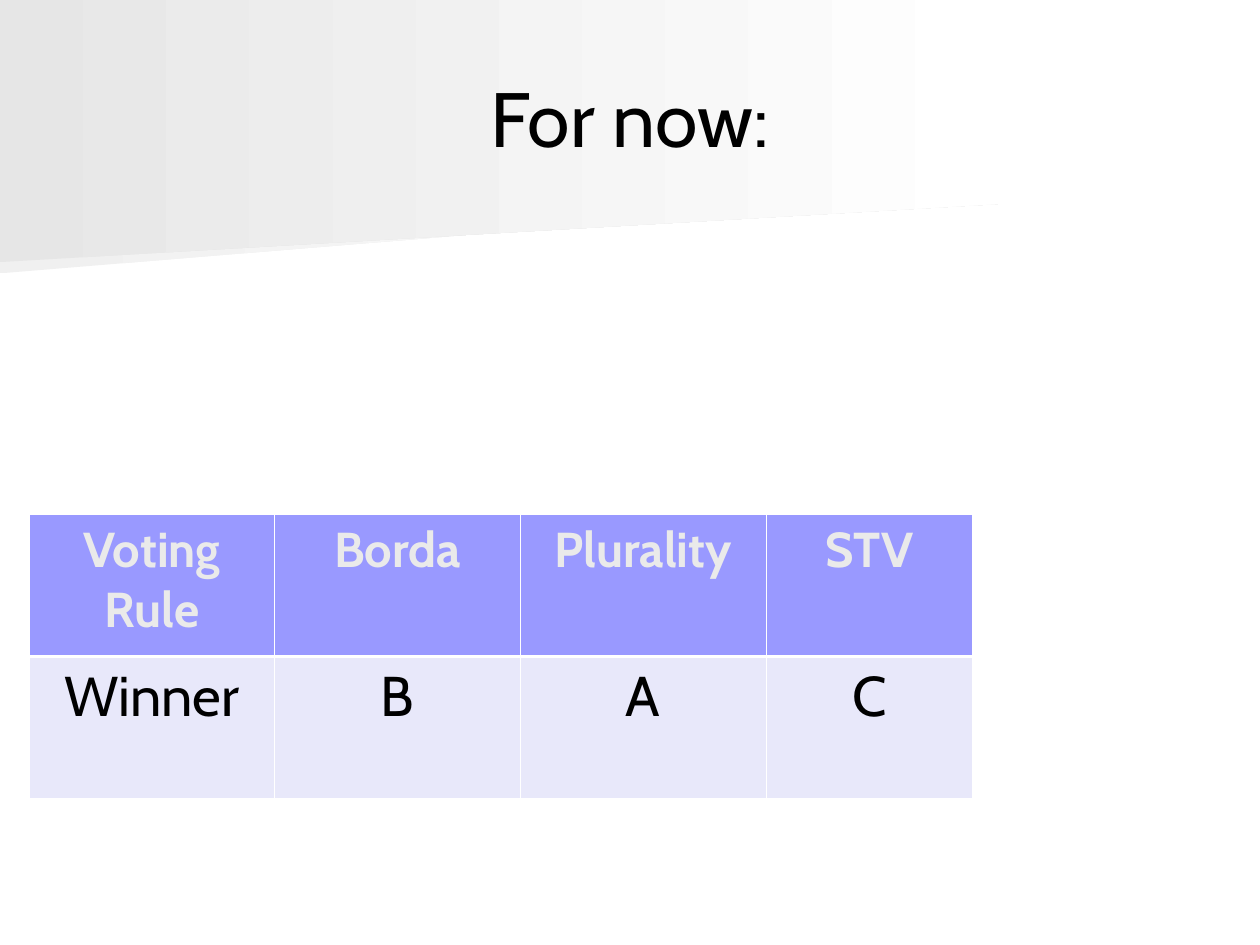
from dataclasses import dataclass

from lxml.etree import SubElement
from pptx import Presentation
from pptx.dml.color import RGBColor
from pptx.enum.text import MSO_ANCHOR as Anchor, PP_ALIGN as Align
from pptx.oxml.ns import qn
from pptx.util import Pt

PX = 9144


@dataclass(frozen=True)
class Theme:
    font: str = "Cabin"
    text: str = "000000"
    header_text: str = "EAEAEA"
    header_fill: str = "9999FF"
    body_fill: str = "E8E8FA"
    back_shade: str = "F0F0F0"
    front_shade: str = "E6E6E6"
    white: str = "FFFFFF"
    title_size: int = 44
    header_size: int = 28
    body_size: int = 32
    thin_line: float = 0.45
    thick_line: float = 1.47


THEME = Theme()


def color(value):
    return RGBColor.from_string(value)


def set_values(target, values):
    for name, value in values.items():
        setattr(target, name, value)


def write_text(frame, text, size, ink, bold=False):
    para = frame.paragraphs[0]
    para.alignment = Align.CENTER
    span = para.add_run()
    span.text = text
    set_values(span.font, {"name": THEME.font, "size": Pt(size), "bold": bold})
    span.font.color.rgb = color(ink)


def add_wedge(page, points, shade):
    builder = page.shapes.build_freeform(*points[0], scale=PX)
    builder.add_line_segments(points[1:], close=True)
    wedge = builder.convert_to_shape()
    wedge.shadow.inherit = False
    wedge.line.fill.background()
    wedge.fill.gradient()
    wedge.fill.gradient_angle = 0
    for stop, value in zip(wedge.fill.gradient_stops, (shade, THEME.white)):
        stop.color.rgb = color(value)
    page.shapes.title.element.addprevious(wedge.element)


def add_backdrop(page, left, top):
    wedges = (
        ([(778, 153), (0, 217), (0, 101), (779, 101), (778, 128)], THEME.back_shade),
        ([(792, 162), (0, 208), (0, 0), (792, 0)], THEME.front_shade),
    )
    for points, shade in wedges:
        add_wedge(page, [(left + x, top + y) for x, y in points], shade)


def add_title(page, left, top, width, height, text):
    title = page.shapes.title
    set_values(title, {"left": left * PX, "top": top * PX,
                       "width": width * PX, "height": height * PX})
    title.text_frame.vertical_anchor = Anchor.MIDDLE
    write_text(title.text_frame, text, THEME.title_size, THEME.text)


def add_border(cell, side, width):
    props = cell._tc.get_or_add_tcPr()
    line = SubElement(props, qn(f"a:ln{side}"), w=str(Pt(width)))
    fill = SubElement(line, qn("a:solidFill"))
    SubElement(fill, qn("a:srgbClr"), val=THEME.white)


def add_results(page, left, top, widths, row_height, rows):
    frame = page.shapes.add_table(
        len(rows), len(widths), left * PX, top * PX,
        sum(widths) * PX, row_height * len(rows) * PX)
    table = frame.table
    table.horz_banding = False
    for column, width in zip(table.columns, widths):
        column.width = width * PX
    header = (THEME.header_size, THEME.header_text, True)
    body = (THEME.body_size, THEME.text, False)
    styles = ((header, THEME.header_fill, "B"), (body, THEME.body_fill, "T"))
    for row, texts, (style, fill, thick_side) in zip(table.rows, rows, styles):
        row.height = row_height * PX
        for cell, text in zip(row.cells, texts):
            for side in "LRTB":
                width = THEME.thick_line if side == thick_side else THEME.thin_line
                add_border(cell, side, width)
            cell.fill.solid()
            cell.fill.fore_color.rgb = color(fill)
            write_text(cell.text_frame, text, *style)


def main():
    deck = Presentation()
    set_values(deck, {"slide_width": 1000 * PX, "slide_height": 750 * PX})
    page = deck.slides.add_slide(deck.slide_layouts[5])
    page.background.fill.solid()
    page.background.fill.fore_color.rgb = color(THEME.white)
    add_backdrop(page, 0, 0)
    add_title(page, 50, 30, 900, 125, "For now:")
    add_results(page, 23, 408, (195, 195, 195, 164), 113, (
        ("Voting Rule", "Borda", "Plurality", "STV"),
        ("Winner", "B", "A", "C"),
    ))
    deck.save("out.pptx")


if __name__ == "__main__":
    main()
